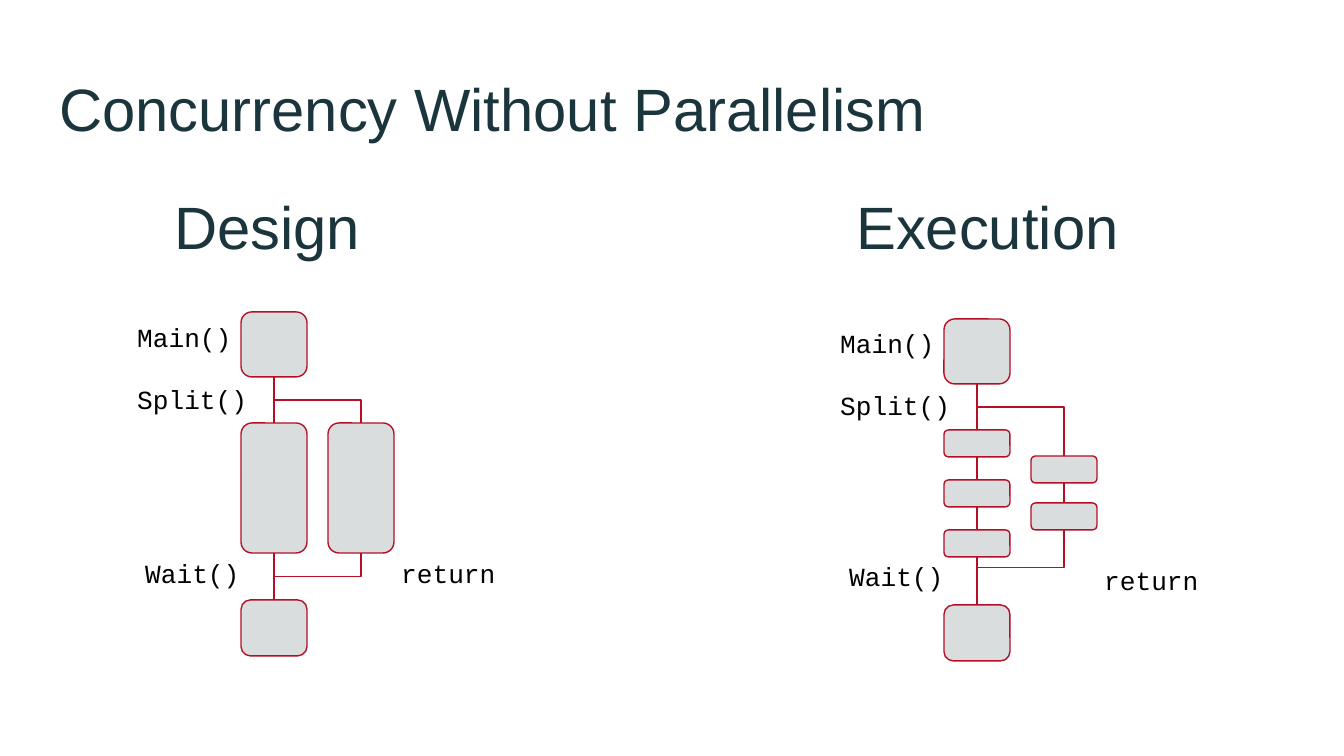
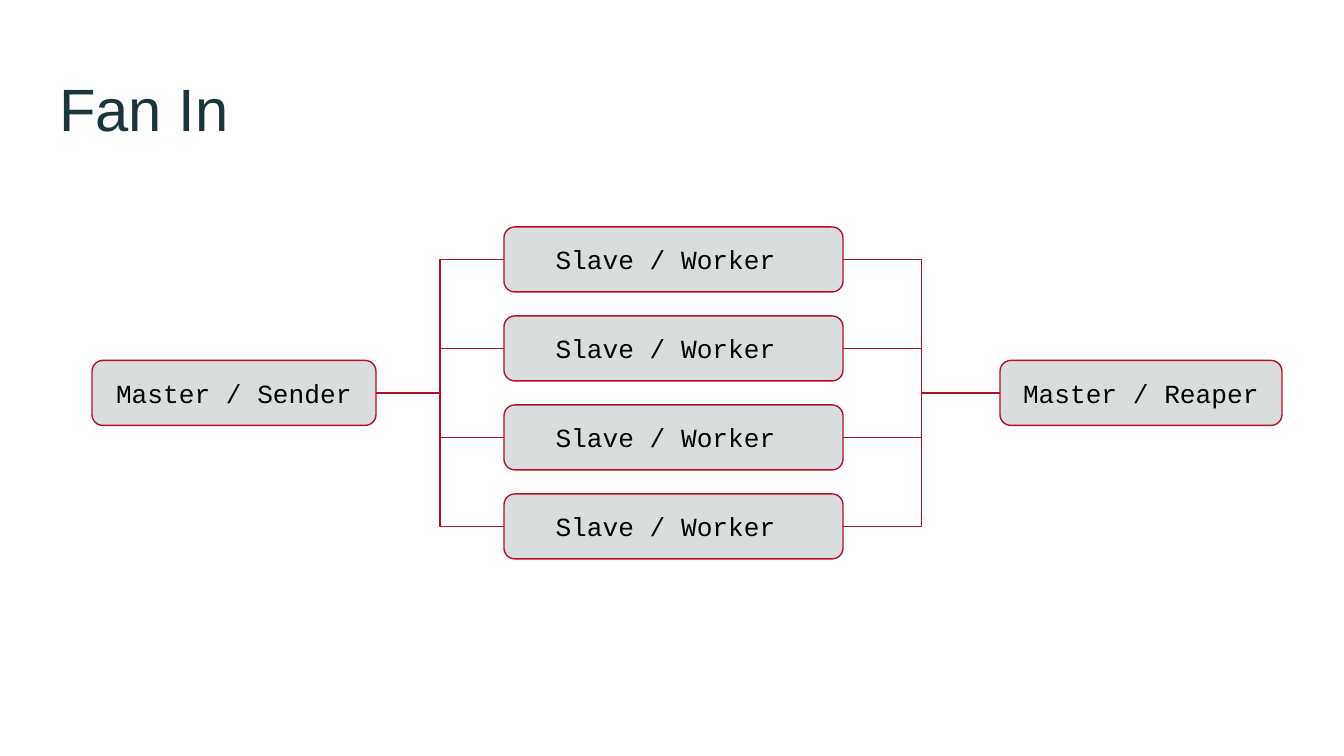
import pptx
import pptx.dml.color
import pptx.enum.shapes
import pptx.enum.text
import pptx.oxml.ns
import pptx.util
from lxml import etree

SCALE = pptx.util.Inches(10) / 1344
INK = pptx.dml.color.RGBColor(0x1B, 0x35, 0x3C)
BLACK = pptx.dml.color.RGBColor(0, 0, 0)
GREY = pptx.dml.color.RGBColor(0xD9, 0xDD, 0xDE)
RED = pptx.dml.color.RGBColor(0xB4, 0x0F, 0x26)
SANS = "Arial"
MONO = "Courier New"
INSET = pptx.util.Inches(0.1)
TALL = 65
WIDE = 66


def px(count):
    return pptx.util.Emu(round(count * SCALE))


def style(shape, text, font, size, color):
    frame = shape.text_frame
    frame.word_wrap = True
    frame.margin_left = frame.margin_right = INSET
    frame.margin_top = frame.margin_bottom = INSET
    frame.text = text
    for run in frame.paragraphs[0].runs:
        run.font.name = font
        run.font.size = pptx.util.Pt(size)
        run.font.color.rgb = color
    return frame


def label(slide, text, x, y, w=152, h=63, font=MONO, size=14, color=BLACK):
    shape = slide.shapes.add_textbox(px(x), px(y), px(w), px(h))
    return style(shape, text, font, size, color)


def title(slide, text, x=46, y=66, w=1253):
    frame = label(slide, text, x, y, w, 85, SANS, 32, INK)
    frame.paragraphs[0].line_spacing = 0.9


def box(slide, x, y, w, h, text=None):
    kind = pptx.enum.shapes.MSO_SHAPE.ROUNDED_RECTANGLE
    shape = slide.shapes.add_shape(kind, px(x), px(y), px(w), px(h))
    shape.shadow.inherit = False
    shape.fill.solid()
    shape.fill.fore_color.rgb = GREY
    shape.line.color.rgb = RED
    shape.line.width = pptx.util.Pt(0.75)
    if text:
        frame = style(shape, text, MONO, 14, BLACK)
        frame.vertical_anchor = pptx.enum.text.MSO_ANCHOR.MIDDLE
        frame.paragraphs[0].alignment = pptx.enum.text.PP_ALIGN.CENTER


def elbow(slide, x1, y1, x2, y2):
    kind = pptx.enum.shapes.MSO_CONNECTOR.ELBOW
    line = slide.shapes.add_connector(kind, px(x1), px(y1), px(x2), px(y2))
    line.line.color.rgb = RED
    line.line.width = pptx.util.Pt(0.75)
    props = line.element.spPr
    etree.SubElement(props, pptx.oxml.ns.qn("a:effectLst"))
    return props


def drop(slide, x1, y1, x2, y2, bend=0.5):
    mid_x, mid_y = (x1 + x2) / 2, (y1 + y2) / 2
    run, rise = (y1 - y2) / 2, (x2 - x1) / 2
    props = elbow(slide, mid_x - run, mid_y - rise, mid_x + run, mid_y + rise)
    props.find(pptx.oxml.ns.qn("a:xfrm")).set("rot", str(270 * 60000))
    geom = props.find(pptx.oxml.ns.qn("a:prstGeom"))
    marks = geom.find(pptx.oxml.ns.qn("a:avLst"))
    guide = etree.SubElement(marks, pptx.oxml.ns.qn("a:gd"))
    guide.set("name", "adj1")
    guide.set("fmla", f"val {round(bend * 100000)}")


def chain(slide, x, steps):
    for y, h in steps:
        box(slide, x, y, WIDE, h)
    mid = x + WIDE / 2
    for (y, h), (below, _) in zip(steps, steps[1:]):
        drop(slide, mid, y + h, mid, below)


def flow(slide, x, main, side):
    chain(slide, x, main)
    chain(slide, x + 87, side)
    left = x + WIDE / 2
    right = left + 87
    start = sum(main[0])
    bend = (main[1][0] - start) / 2 / (side[0][0] - start)
    drop(slide, left, start, right, side[0][0], bend)
    drop(slide, left, main[-1][0], right, sum(side[-1]))


def split(slide):
    title(slide, "Concurrency Without Parallelism")
    title(slide, "Design", 161, 184, 215)
    title(slide, "Execution", 843, 184, 304)

    flow(slide, 241, [(312, TALL), (423, 130), (600, 56)], [(423, 130)])
    small = [(430 + 50 * i, 27) for i in range(3)]
    side = [(456 + 47 * i, 27) for i in range(2)]
    flow(slide, 944, [(319, TALL), *small, (605, 56)], side)

    for text, x, y in (
        ("Main()", 124, 308),
        ("Split()", 124, 370),
        ("Wait()", 132, 544),
        ("return", 388, 544),
        ("Main()", 827, 314),
        ("Split()", 827, 376),
        ("Wait()", 836, 547),
        ("return", 1091, 551),
    ):
        label(slide, text, x, y)


def fan(slide):
    title(slide, "Fan In")
    top, step, count = 227, 89, 4
    hub = top + step * (count - 1) / 2
    mid = hub + TALL / 2
    box(slide, 92, hub, 284, TALL, "Master / Sender ")
    box(slide, 1000, hub, 282, TALL, "Master / Reaper ")
    for i in range(count):
        y = top + step * i
        box(slide, 504, y, 339, TALL, "Slave / Worker ")
        elbow(slide, 376, mid, 504, y + TALL / 2)
        elbow(slide, 1000, mid, 843, y + TALL / 2)


def main():
    deck = pptx.Presentation()
    deck.slide_width = px(1344)
    deck.slide_height = px(756)
    for draw in (split, fan):
        draw(deck.slides.add_slide(deck.slide_layouts[6]))
    deck.save("out.pptx")


if __name__ == "__main__":
    main()
